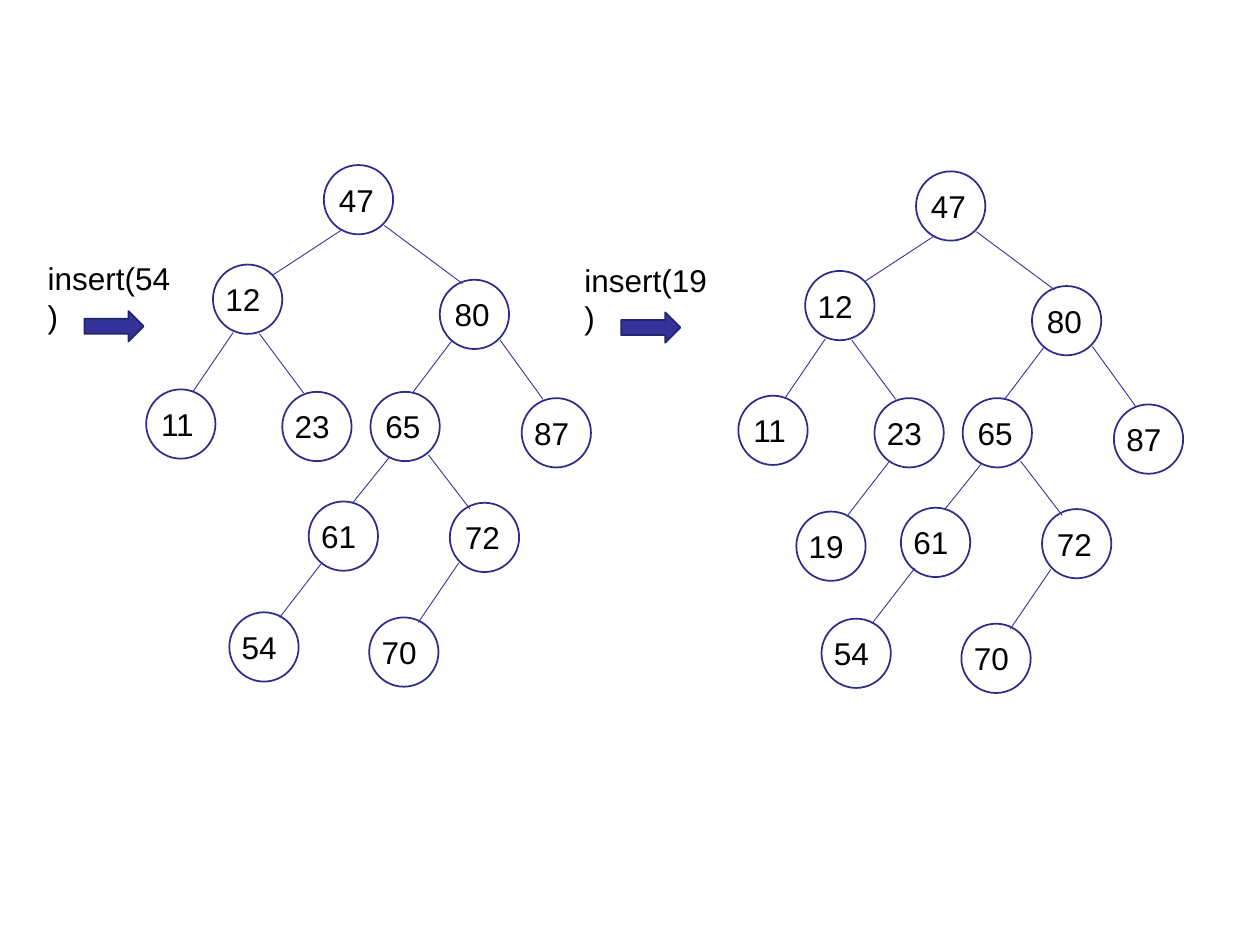
from lxml import etree
from pptx import Presentation
from pptx.dml.color import RGBColor
from pptx.enum import shapes, text
from pptx.oxml import ns
from pptx.util import Inches, Pt

theme = {
    "font": "Arial",
    "size": Pt(18),
    "ink": RGBColor.from_string("000000"),
    "node": RGBColor.from_string("FFFFFF"),
    "rim": RGBColor.from_string("2D2D89"),
    "accent": RGBColor.from_string("333399"),
    "arrow_rim": RGBColor.from_string("23236F"),
    "rim_width": Pt(1),
    "edge_width": Pt(0.5),
}

deck = Presentation()
deck.slide_width, deck.slide_height = Inches(10), Inches(7.5)
column, row = deck.slide_width / 100, deck.slide_height / 75
slide = deck.slides.add_slide(deck.slide_layouts[6])


def add_label(words, left, top, width, wrap):
    label = slide.shapes.add_textbox(
        round(left * column), round(top * row), round(width * column), round(4 * row))
    frame_format = {
        "word_wrap": wrap,
        "auto_size": text.MSO_AUTO_SIZE.SHAPE_TO_FIT_TEXT,
        "margin_left": Inches(0.1),
        "margin_right": Inches(0.1),
        "margin_top": Inches(0.05),
        "margin_bottom": Inches(0.05),
    }
    for attribute, value in frame_format.items():
        setattr(label.text_frame, attribute, value)
    run = label.text_frame.paragraphs[0].add_run()
    run.text = words
    for attribute, value in {"name": theme["font"], "size": theme["size"]}.items():
        setattr(run.font, attribute, value)
    run.font.color.rgb = theme["ink"]


def add_outlined(kind, left, top, width, height, fill, rim):
    outlined = slide.shapes.add_shape(
        kind, round(left * column), round(top * row),
        round(width * column), round(height * row))
    outlined.shadow.inherit = False
    outlined.fill.solid()
    outlined.fill.fore_color.rgb = fill
    outlined.line.color.rgb = rim
    outlined.line.width = theme["rim_width"]


keys = {
    23: (22.4, 31.1), 65: (29.4, 31.1), 80: (34.9, 22.2), 12: (16.9, 21),
    72: (35.7, 39.9), 70: (29.3, 49), 47: (25.7, 13.1), 11: (11.6, 30.9),
    87: (41.4, 31.6), 61: (24.5, 39.8), 54: (18.2, 48.6),
}
edges = [
    (30.5, 17.9, 36.7, 22.5), (27.2, 18.2, 21.7, 21.8),
    (35.9, 27, 32.8, 31.1), (34, 36.1, 37.3, 40.4),
    (36.4, 44.7, 33.2, 49.4), (20.6, 26.5, 24.1, 31.2),
    (18.5, 26.4, 15.3, 31.1), (39.7, 27, 43.1, 31.7),
    (30.9, 36.3, 28, 39.9), (25.6, 44.6, 22.2, 49),
]
inset_keys = {65, 80, 72, 47, 11}
diameter = 5.5

steps = [
    ("insert(54)", 2.8, 20.1, 0, 0, keys, edges),
    ("insert(19)", 45.4, 20.2, 47, 0.5,
     {**keys, 19: (16.2, 40.1)}, edges + [(23.6, 36.1, 20.2, 40.5)]),
]

for operation, left, top, shift_x, shift_y, tree_keys, tree_edges in steps:
    add_outlined(shapes.MSO_SHAPE.RIGHT_ARROW, left + 3.9, top + 4.6, 4.7, 2.4,
                 theme["accent"], theme["arrow_rim"])
    add_label(operation, left, top, 12.5, False)

    for key, (x, y) in tree_keys.items():
        x, y = x + shift_x, y + shift_y
        inset = 0.2 if key in inset_keys else 0
        add_outlined(shapes.MSO_SHAPE.OVAL, x, y, diameter, diameter,
                     theme["node"], theme["rim"])
        add_label(str(key), x + inset, y + 0.75, diameter - 2 * inset, True)

    for x1, y1, x2, y2 in tree_edges:
        edge = slide.shapes.add_connector(
            shapes.MSO_CONNECTOR.STRAIGHT,
            round((x1 + shift_x) * column), round((y1 + shift_y) * row),
            round((x2 + shift_x) * column), round((y2 + shift_y) * row))
        edge.line.color.rgb = theme["accent"]
        edge.line.width = theme["edge_width"]
        etree.SubElement(edge.element.spPr, ns.qn("a:effectLst"))

deck.save("out.pptx")
